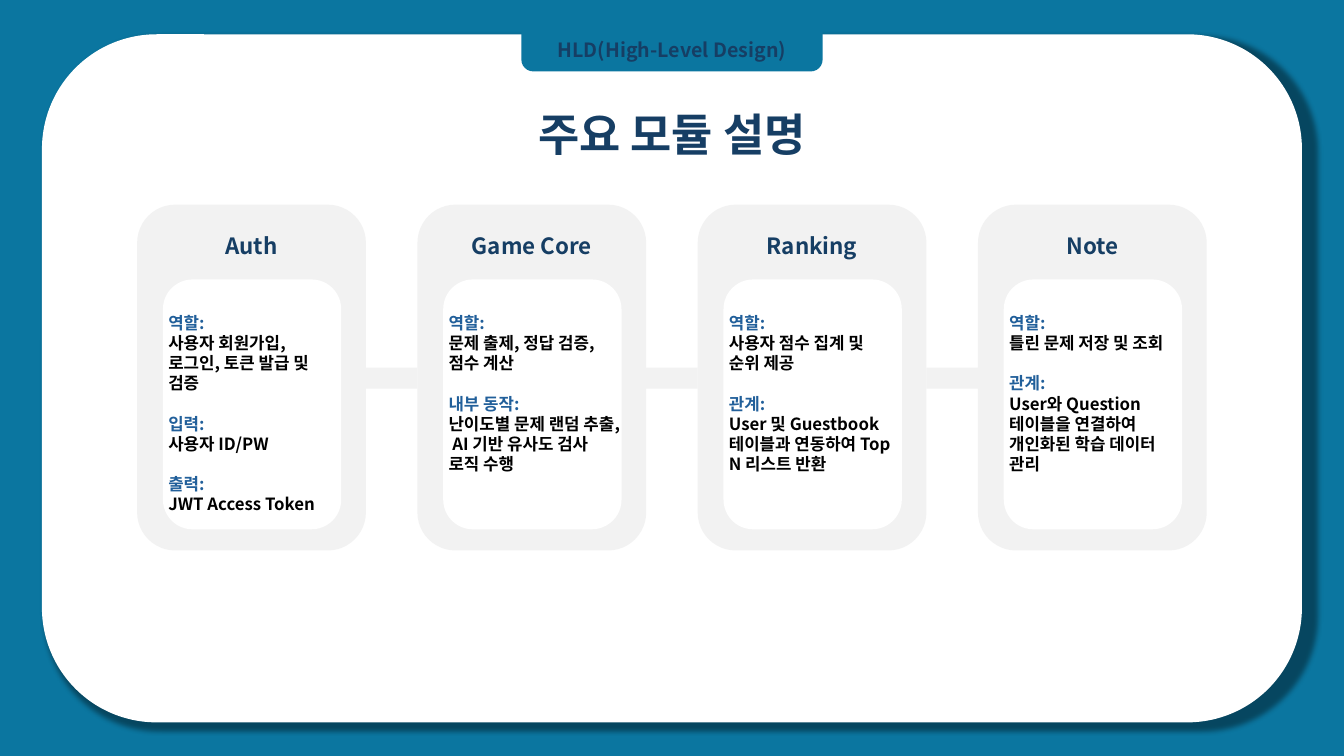
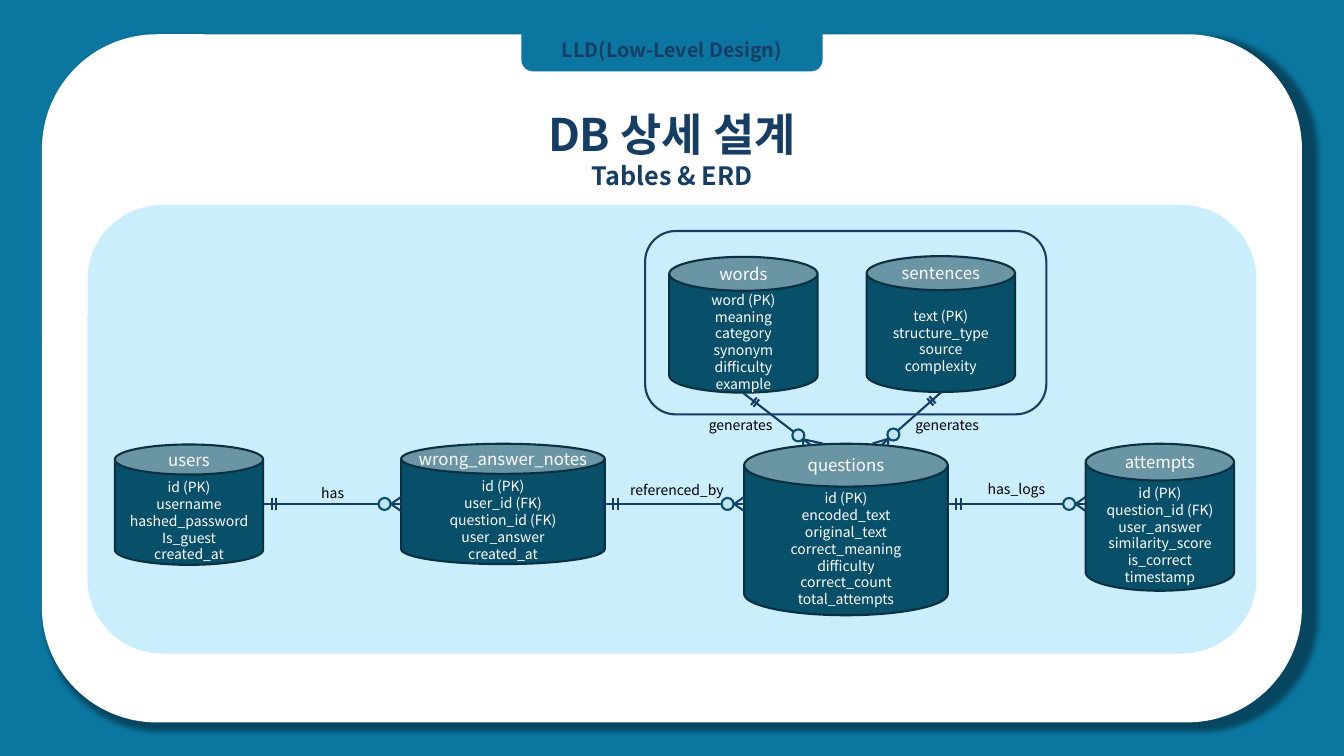
"""Builds two design slides: the module overview and the database diagram."""
import math
from dataclasses import dataclass
from typing import NamedTuple

from lxml import etree
from pptx import Presentation
from pptx.dml.color import RGBColor
from pptx.enum import shapes as kinds, text as te
from pptx.oxml import ns
from pptx.util import Pt

SHAPE = kinds.MSO_SHAPE
ALIGN = te.PP_ALIGN
ANCHOR = te.MSO_ANCHOR


@dataclass(frozen=True)
class Theme:
    font: str = "Noto Sans CJK KR"
    backdrop: str = "0B76A0"
    panel: str = "FFFFFF"
    navy: str = "163E64"
    heading: str = "215F9A"
    ink: str = "000000"
    card: str = "F2F2F2"
    canvas: str = "CAEEFB"
    can: str = "084F6A"
    can_edge: str = "0A3041"
    ring: str = "C1E5F5"
    title: float = 32
    subtitle: float = 18
    card_title: float = 16
    tab: float = 14
    body: float = 12
    small: float = 10
    stroke: float = 1.5


THEME = Theme()


class Box(NamedTuple):
    left: float
    top: float
    width: float
    height: float


class Point(NamedTuple):
    x: float
    y: float


class Module(NamedTuple):
    name: str
    sections: list[tuple[str, str]]


class Table(NamedTuple):
    name: str
    box: Box
    columns: str


@dataclass(frozen=True)
class Relation:
    name: str
    label: Point
    start: Point
    end: Point
    toes: tuple[Point, Point] = (Point(0, -5), Point(0, 5))
    bar_at: float = 6
    bar_gap: float = 3.2
    bar_size: float = 9.2


MODULES = [
    Module("Auth", [
        ("역할:", "사용자 회원가입, 로그인, 토큰 발급 및 검증"),
        ("입력:", "사용자 ID/PW"),
        ("출력:", "JWT Access Token")]),
    Module("Game Core", [
        ("역할:", "문제 출제, 정답 검증, 점수 계산"),
        ("내부 동작:", "난이도별 문제 랜덤 추출, AI 기반 유사도 검사 로직 수행")]),
    Module("Ranking", [
        ("역할:", "사용자 점수 집계 및 순위 제공"),
        ("관계:", "User 및 Guestbook 테이블과 연동하여 Top N 리스트 반환")]),
    Module("Note", [
        ("역할:", "틀린 문제 저장 및 조회"),
        ("관계:", "User와 Question 테이블을 연결하여 개인화된 학습 데이터 관리")]),
]

TABLES = [
    Table("users", Box(82, 317.5, 106, 86),
          "id (PK)\nusername\nhashed_password\nIs_guest\ncreated_at"),
    Table("wrong_answer_notes", Box(286.5, 317, 145.5, 86),
          "id (PK)\nuser_id (FK)\nquestion_id (FK)\nuser_answer\ncreated_at"),
    Table("questions", Box(531.5, 317, 145.5, 122.5),
          "id (PK)\nencoded_text\noriginal_text\ncorrect_meaning\ndifficulty\n"
          "correct_count\ntotal_attempts"),
    Table("attempts", Box(775.5, 317, 106, 105),
          "id (PK)\nquestion_id (FK)\nuser_answer\nsimilarity_score\nis_correct\ntimestamp"),
    Table("words", Box(478, 183.5, 106, 97),
          "word (PK)\nmeaning\ncategory\nsynonym\ndifficulty\nexample"),
    Table("sentences", Box(619, 183, 106, 97),
          "text (PK)\nstructure_type\nsource\ncomplexity"),
]

RELATIONS = [
    Relation("has", Point(237.6, 342.7), Point(188, 360), Point(286.5, 360)),
    Relation("referenced_by", Point(483.5, 340.6), Point(432, 360), Point(531.5, 360)),
    Relation("has_logs", Point(726, 340), Point(677, 360), Point(775.5, 360)),
    Relation("generates", Point(529, 293.8), Point(531, 280.8), Point(579.6, 318.2),
             (Point(-6, 0), Point(8, -1.4)), 9.5, 2.2, 6.7),
    Relation("generates", Point(676.5, 293.8), Point(672.5, 280), Point(629.3, 318.2),
             (Point(5, 0), Point(-6, -1.4)), 8.5, 2.2, 6.7),
]


def place(shape, box: Box) -> None:
    shape.left, shape.top, shape.width, shape.height = map(Pt, box)


def write(frame, text: str, *, size: float, color: str, bold: bool = False,
          align=ALIGN.CENTER, anchor=ANCHOR.TOP, gap: float = 0) -> None:
    fresh = not frame.text
    frame.word_wrap = True
    frame.auto_size = te.MSO_AUTO_SIZE.NONE
    frame.vertical_anchor = anchor
    for number, line in enumerate(text.split("\n")):
        paragraph = frame.paragraphs[0] if fresh and number == 0 else frame.add_paragraph()
        paragraph.alignment = align
        paragraph.space_before = Pt(gap if number == 0 else 0)
        properties = paragraph._p.get_or_add_pPr()
        properties.set("marL", "0")
        properties.set("indent", "0")
        etree.SubElement(properties, ns.qn("a:buNone"))
        run = paragraph.add_run()
        run.text = line
        run.font.name = THEME.font
        run.font.size = Pt(size)
        run.font.bold = bold
        run.font.color.rgb = RGBColor.from_string(color)
        east_asian = etree.SubElement(run._r.get_or_add_rPr(), ns.qn("a:ea"))
        east_asian.set("typeface", THEME.font)


def add_label(slide, text: str, box: Box, **style) -> None:
    write(slide.shapes.add_textbox(*map(Pt, box)).text_frame, text, **style)


def add_block(slide, kind, box: Box, *, fill: str | None = None, line: str | None = None):
    block = slide.shapes.add_shape(kind, *map(Pt, box))
    block.shadow.inherit = False
    if fill:
        block.fill.solid()
        block.fill.fore_color.rgb = RGBColor.from_string(fill)
    else:
        block.fill.background()
    if line:
        block.line.color.rgb = RGBColor.from_string(line)
        block.line.width = Pt(THEME.stroke)
    else:
        block.line.fill.background()
    return block


def add_line(slide, start: Point, end: Point) -> None:
    stroke = slide.shapes.add_connector(kinds.MSO_CONNECTOR.STRAIGHT, *map(Pt, (*start, *end)))
    stroke.line.color.rgb = RGBColor.from_string(THEME.navy)
    stroke.line.width = Pt(THEME.stroke)
    etree.SubElement(stroke._element.spPr, ns.qn("a:effectLst"))


def build_master(master, slide) -> None:
    master.background.fill.solid()
    master.background.fill.fore_color.rgb = RGBColor.from_string(THEME.backdrop)
    panel = add_block(slide, SHAPE.ROUNDED_RECTANGLE, Box(30, 24.5, 900, 491.5), fill=THEME.panel)
    effects = panel._element.spPr.find(ns.qn("a:effectLst"))
    shadow = etree.SubElement(effects, ns.qn("a:outerShdw"), {
        "blurRad": str(Pt(4)), "dist": str(Pt(3)), "dir": "2700000",
        "sx": "101000", "sy": "101000", "algn": "tl", "rotWithShape": "0"})
    black = etree.SubElement(shadow, ns.qn("a:srgbClr"), {"val": THEME.ink})
    etree.SubElement(black, ns.qn("a:alpha"), {"val": "40000"})
    tab = add_block(slide, SHAPE.ROUND_2_SAME_RECTANGLE, Box(372.4, 0, 215.2, 51),
                    fill=THEME.backdrop)
    tab.rotation = 180
    first = master.shapes[0].element
    for part in (panel, tab):
        first.addprevious(part.element)


def add_heading(slide, stage: str, title: str, subtitle: str = "") -> None:
    add_label(slide, stage, Box(381.4, 23.8, 197.2, 24.5),
              size=THEME.tab, color=THEME.navy, bold=True)
    heading = slide.shapes.title
    place(heading, Box(306, 72.7, 348, 68 if subtitle else 46))
    write(heading.text_frame, title, size=THEME.title, color=THEME.navy, bold=True)
    if subtitle:
        write(heading.text_frame, subtitle, size=THEME.subtitle, color=THEME.navy, bold=True)


def add_module(slide, module: Module, card: Box, body) -> None:
    add_block(slide, SHAPE.ROUNDED_RECTANGLE, card, fill=THEME.card)
    add_block(slide, SHAPE.ROUNDED_RECTANGLE,
              Box(card.left + 18.4, card.top + 53.4, 127.4, 178.5), fill=THEME.panel)
    add_label(slide, module.name, Box(card.left, card.top + 16, card.width, 26.6),
              size=THEME.card_title, color=THEME.navy, bold=True)
    place(body, Box(card.left + 15, card.top + 73.5, 133.2, 138))
    slide.shapes.element.append(body.element)
    for number, (heading, detail) in enumerate(module.sections):
        write(body.text_frame, heading, size=THEME.body, color=THEME.heading, bold=True,
              align=ALIGN.LEFT, gap=14.4 if number else 0)
        write(body.text_frame, detail, size=THEME.body, color=THEME.ink, bold=True,
              align=ALIGN.LEFT)


def build_modules(slide) -> None:
    add_heading(slide, "HLD(High-Level Design)", "주요 모듈 설명")
    bodies = [holder for holder in slide.placeholders if holder.placeholder_format.idx]
    pitch, width = 200.2, 163.4
    for column, (module, body) in enumerate(zip(MODULES, bodies)):
        card = Box(98 + column * pitch, 146.2, width, 247)
        if column:
            add_block(slide, SHAPE.RECTANGLE,
                      Box(card.left - pitch + width, 262.6, pitch - width, 15), fill=THEME.card)
        add_module(slide, module, card, body)


def add_table_can(slide, table: Table) -> None:
    box = table.box
    can = add_block(slide, SHAPE.CAN, box, fill=THEME.can, line=THEME.can_edge)
    can.text_frame.margin_top = Pt(15.6)
    write(can.text_frame, table.columns, size=THEME.small, color=THEME.panel,
          anchor=ANCHOR.MIDDLE)
    lid = min(box.width, box.height) / 4
    label_width = 146
    add_label(slide, table.name,
              Box(box.left + (box.width - label_width) / 2, box.top + lid / 2 - 10.8,
                  label_width, 21.6),
              size=THEME.body, color=THEME.panel)


def add_relation(slide, relation: Relation) -> None:
    start, end = relation.start, relation.end
    length = math.dist(start, end)
    ux, uy = (end.x - start.x) / length, (end.y - start.y) / length

    def along(distance: float, aside: float = 0) -> Point:
        return Point(start.x + ux * distance - uy * aside, start.y + uy * distance + ux * aside)

    add_line(slide, start, end)
    half = relation.bar_size / 2
    for distance in (relation.bar_at, relation.bar_at + relation.bar_gap):
        add_line(slide, along(distance, -half), along(distance, half))
    for toe in relation.toes:
        add_line(slide, along(length - 7.2), Point(end.x + toe.x, end.y + toe.y))
    ring, size = along(length - 11.8), 8.6
    add_block(slide, SHAPE.OVAL, Box(ring.x - size / 2, ring.y - size / 2, size, size),
              fill=THEME.ring, line=THEME.can)
    add_label(slide, relation.name, Box(relation.label.x - 45, relation.label.y, 90, 19.5),
              size=THEME.small, color=THEME.ink)


def build_database(slide) -> None:
    add_heading(slide, "LLD(Low-Level Design)", "DB 상세 설계", "Tables & ERD")
    add_block(slide, SHAPE.ROUNDED_RECTANGLE, Box(62.5, 146.4, 835, 320.4), fill=THEME.canvas)
    for table in TABLES:
        add_table_can(slide, table)
    add_block(slide, SHAPE.ROUNDED_RECTANGLE, Box(460.8, 165, 286.6, 131), line=THEME.navy)
    for relation in RELATIONS:
        add_relation(slide, relation)


def main() -> None:
    deck = Presentation()
    deck.slide_width, deck.slide_height = Pt(960), Pt(540)
    modules = deck.slides.add_slide(deck.slide_layouts.get_by_name("Comparison"))
    database = deck.slides.add_slide(deck.slide_layouts.get_by_name("Title Only"))
    build_master(deck.slide_master, modules)
    build_modules(modules)
    build_database(database)
    deck.save("out.pptx")


if __name__ == "__main__":
    main()
